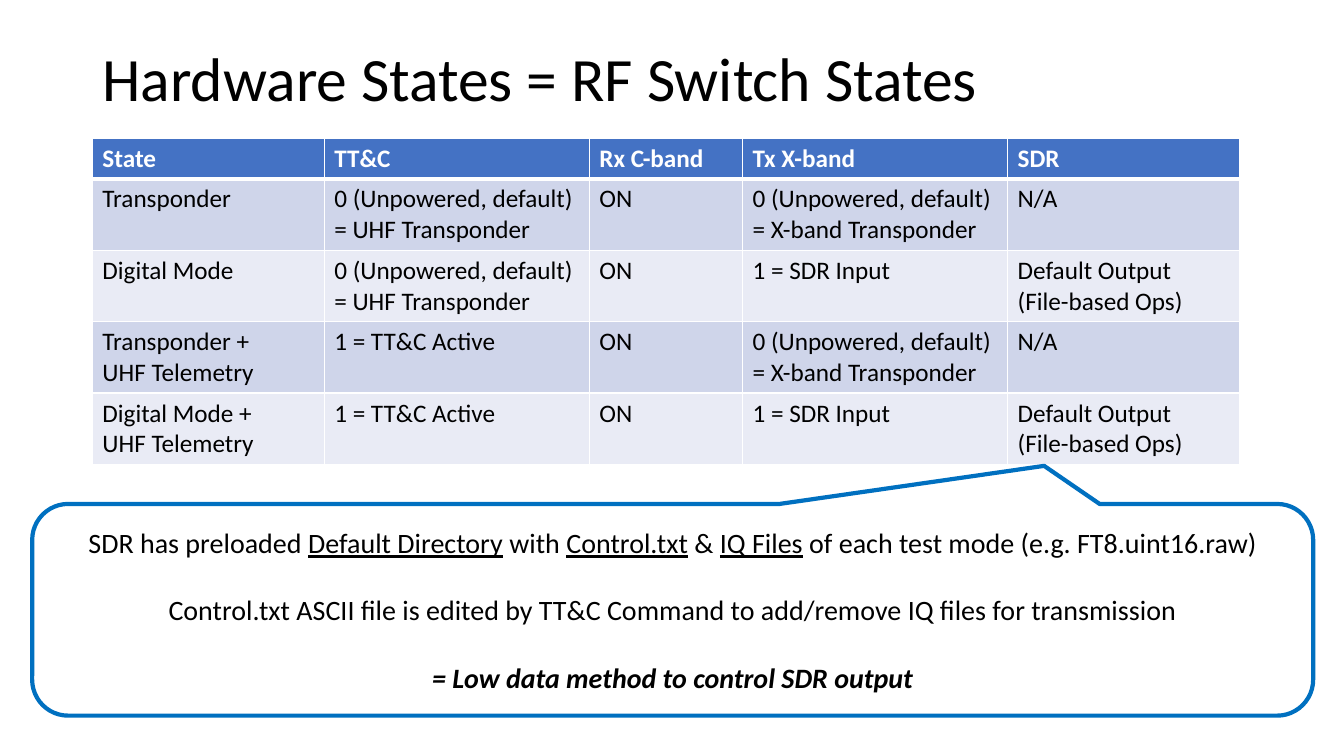
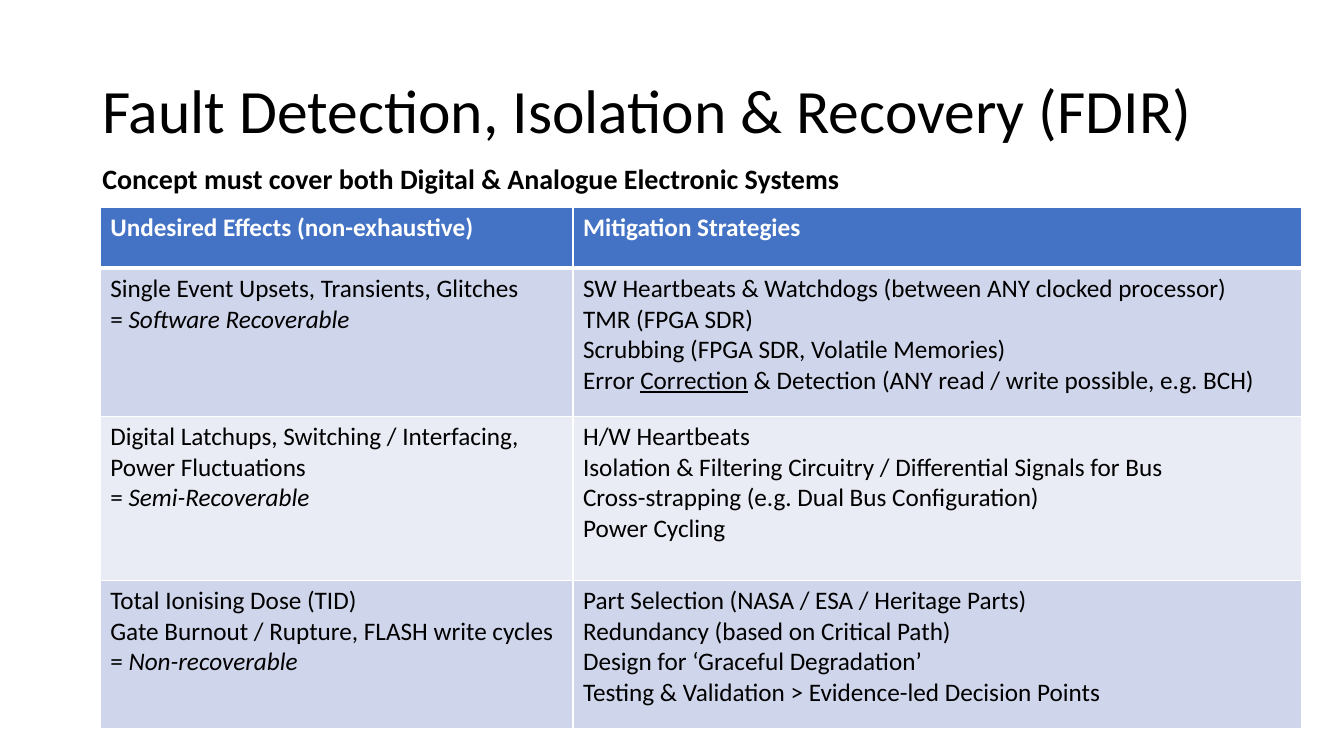
from lxml.etree import SubElement
from pptx import Presentation
from pptx.dml.color import RGBColor
from pptx.enum.shapes import MSO_SHAPE
from pptx.enum.text import MSO_ANCHOR, PP_ALIGN
from pptx.oxml.ns import qn
from pptx.util import Pt

# Shared look
FONT = "Calibri"
BLACK, WHITE = "000000", "FFFFFF"
HEADER, BANDS = "4472C4", ("CFD5EA", "E9EBF5")
CALLOUT_LINE = "0070C0"
LEFT, WIDTH, TITLE_H = 66, 828, 104.4

# Content: a paragraph is a string or a list of (text, style) runs,
# where style holds any of the letters b, i, u
UHF_DEFAULT = ["0 (Unpowered, default)", "= UHF Transponder"]
X_DEFAULT = ["0 (Unpowered, default)", "= X-band Transponder"]
TTC_ACTIVE = ["1 = TT&C Active"]
SDR_INPUT = ["1 = SDR Input"]
FILE_OPS = ["Default Output", "(File-based Ops)"]

STATES = [
    [["State"], ["TT&C"], ["Rx C-band"], ["Tx X-band"], ["SDR"]],
    [["Transponder"], UHF_DEFAULT, ["ON"], X_DEFAULT, ["N/A"]],
    [["Digital Mode"], UHF_DEFAULT, ["ON"], SDR_INPUT, FILE_OPS],
    [["Transponder +", "UHF Telemetry"], TTC_ACTIVE, ["ON"], X_DEFAULT, ["N/A"]],
    [["Digital Mode +", "UHF Telemetry"], TTC_ACTIVE, ["ON"], SDR_INPUT, FILE_OPS],
]

SDR_NOTE = [
    [("SDR has preloaded ", ""), ("Default Directory", "u"), (" with ", ""),
     ("Control.txt", "u"), (" & ", ""), ("IQ Files", "u"),
     (" of each test mode (e.g. FT8.uint16.raw)", "")],
    "Control.txt ASCII file is edited by TT&C Command to add/remove IQ files for transmission",
    [("= Low data method to control SDR output", "bi")],
]

FAULTS = [
    [["Undesired Effects (non-exhaustive)"], ["Mitigation Strategies"]],
    [["Single Event Upsets, Transients, Glitches",
      [("= ", ""), ("Software Recoverable", "i")]],
     ["SW Heartbeats & Watchdogs (between ANY clocked processor)",
      "TMR (FPGA SDR)",
      "Scrubbing (FPGA SDR, Volatile Memories)",
      [("Error ", ""), ("Correction", "u"),
       (" & Detection (ANY read / write possible, e.g. BCH)", "")]]],
    [["Digital Latchups, Switching / Interfacing, Power Fluctuations",
      [("= ", ""), ("Semi-Recoverable", "i")]],
     ["H/W Heartbeats",
      "Isolation & Filtering Circuitry / Differential Signals for Bus",
      "Cross-strapping (e.g. Dual Bus Configuration)",
      "Power Cycling"]],
    [["Total Ionising Dose (TID)",
      "Gate Burnout / Rupture, FLASH write cycles",
      [("= ", ""), ("Non-recoverable", "i")]],
     ["Part Selection (NASA / ESA / Heritage Parts)",
      "Redundancy (based on Critical Path)",
      "Design for ‘Graceful Degradation’",
      "Testing & Validation > Evidence-led Decision Points"]],
]


def rgb(color):
    return RGBColor.from_string(color)


def write(tf, paragraphs, size, color=BLACK, bold=False, align=PP_ALIGN.LEFT,
          spacing=None, gap=0):
    """Fill a text frame; gap is the space between paragraphs."""
    tf.word_wrap = True
    for i, runs in enumerate(paragraphs):
        p = tf.add_paragraph() if i else tf.paragraphs[0]
        p.alignment = align
        p.space_before = Pt(gap if i else 0)
        if spacing:
            p.line_spacing = spacing
        for text, style in [(runs, "")] if isinstance(runs, str) else runs:
            r = p.add_run()
            r.text = text
            r.font.name, r.font.size = FONT, Pt(size)
            r.font.color.rgb = rgb(color)
            r.font.bold = bold or "b" in style
            r.font.italic = "i" in style
            r.font.underline = "u" in style


def add_text(s, text, top, height, size, bold=False, anchor=MSO_ANCHOR.TOP):
    sp = s.shapes.add_textbox(Pt(LEFT), Pt(top), Pt(WIDTH), Pt(height))
    sp.text_frame.vertical_anchor = anchor
    write(sp.text_frame, [text], size, bold=bold, spacing=0.9)


def add_slide(prs, title, top):
    s = prs.slides.add_slide(prs.slide_layouts[6])
    add_text(s, title, top, TITLE_H, 44, anchor=MSO_ANCHOR.MIDDLE)
    return s


def set_borders(cell, row):
    """White grid with a thicker rule under the header."""
    tc_pr = cell._tc.get_or_add_tcPr()
    widths = {"L": 1, "R": 1, "T": 3 if row == 1 else 1, "B": 3 if row == 0 else 1}
    for side, width in widths.items():
        ln = SubElement(tc_pr, qn(f"a:ln{side}"), w=str(Pt(width)))
        SubElement(SubElement(ln, qn("a:solidFill")), qn("a:srgbClr"), val=WHITE)


def add_grid(s, rows, left, top, col_widths, row_heights):
    table = s.shapes.add_table(
        len(rows), len(col_widths), Pt(left), Pt(top),
        Pt(sum(col_widths)), Pt(sum(row_heights))).table
    for col, width in zip(table.columns, col_widths):
        col.width = Pt(width)
    for i, (row, height) in enumerate(zip(rows, row_heights)):
        table.rows[i].height = Pt(height)
        header = i == 0
        for j, paragraphs in enumerate(row):
            cell = table.cell(i, j)
            set_borders(cell, i)
            cell.fill.solid()
            cell.fill.fore_color.rgb = rgb(HEADER if header else BANDS[(i - 1) % 2])
            write(cell.text_frame, paragraphs, 18,
                  WHITE if header else BLACK, bold=header)


def add_callout(s, paragraphs, left, top, width, height, adjustments):
    sp = s.shapes.add_shape(MSO_SHAPE.ROUNDED_RECTANGULAR_CALLOUT,
                            Pt(left), Pt(top), Pt(width), Pt(height))
    sp.shadow.inherit = False
    for i, value in enumerate(adjustments):
        sp.adjustments[i] = value
    sp.fill.solid()
    sp.fill.fore_color.rgb = rgb(WHITE)
    sp.line.color.rgb = rgb(CALLOUT_LINE)
    sp.line.width = Pt(3)
    sp.text_frame.vertical_anchor = MSO_ANCHOR.MIDDLE
    write(sp.text_frame, paragraphs, 20, align=PP_ALIGN.CENTER, gap=24)


def main():
    prs = Presentation()
    prs.slide_width, prs.slide_height = Pt(960), Pt(540)

    # Hardware states
    s = add_slide(prs, "Hardware States = RF Switch States", 6)
    add_grid(s, STATES, LEFT, 98.6, [165.6, 189.4, 109.4, 189.4, 165.6],
             [29.2] + [51] * 4)
    add_callout(s, SDR_NOTE, 23, 360, 915, 151.2, (0.29, -0.68, 0.17))

    # Fault detection, isolation and recovery
    s = add_slide(prs, "Fault Detection, Isolation & Recovery (FDIR)", 28.8)
    add_text(s, "Concept must cover both Digital & Analogue Electronic Systems",
             113.8 + 1, 46.8, 20, bold=True)
    add_grid(s, FAULTS, 71.6, 148.4, [337.7, 520.6], [43.2, 105.8, 117.2, 105.8])

    prs.save("out.pptx")


if __name__ == "__main__":
    main()
